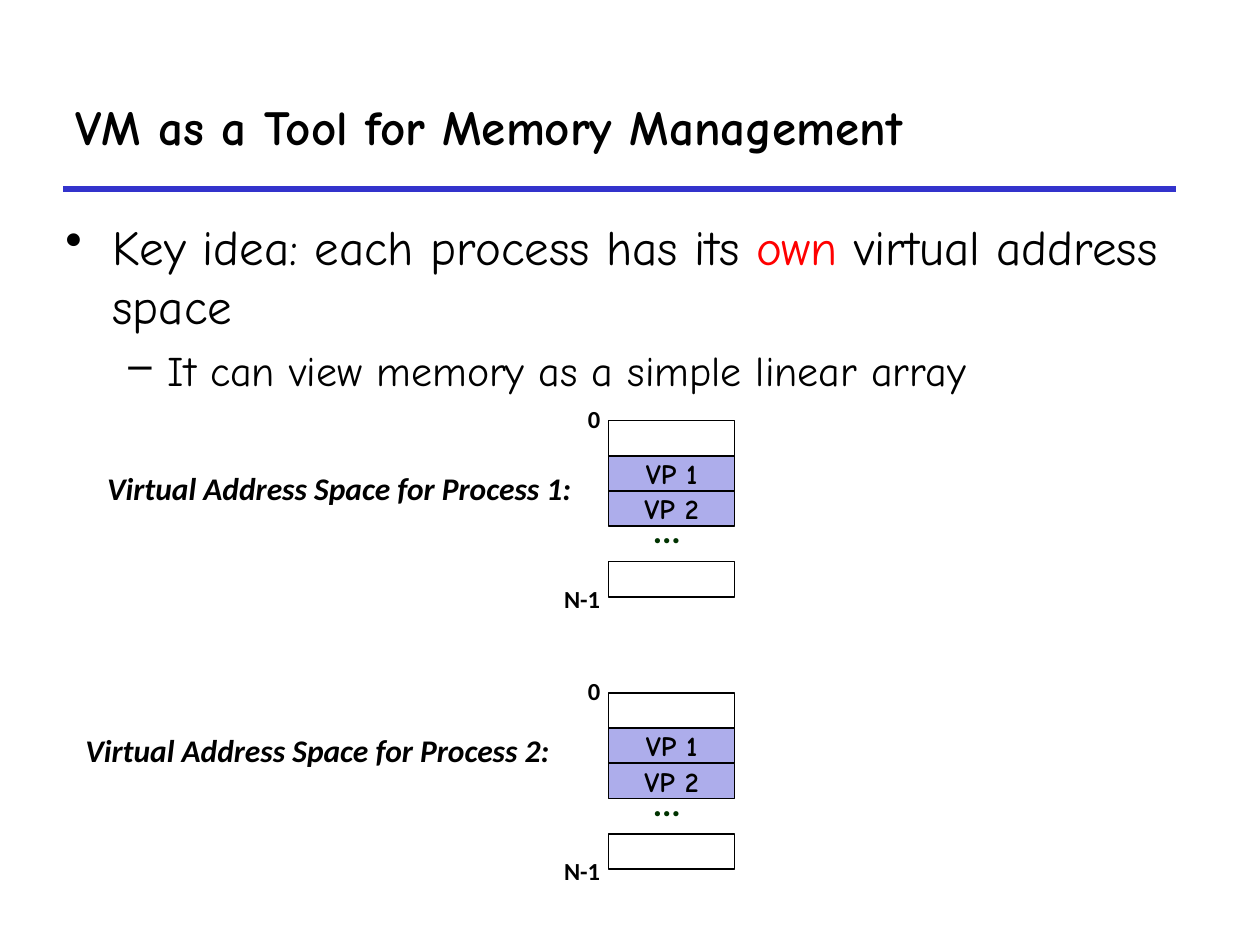
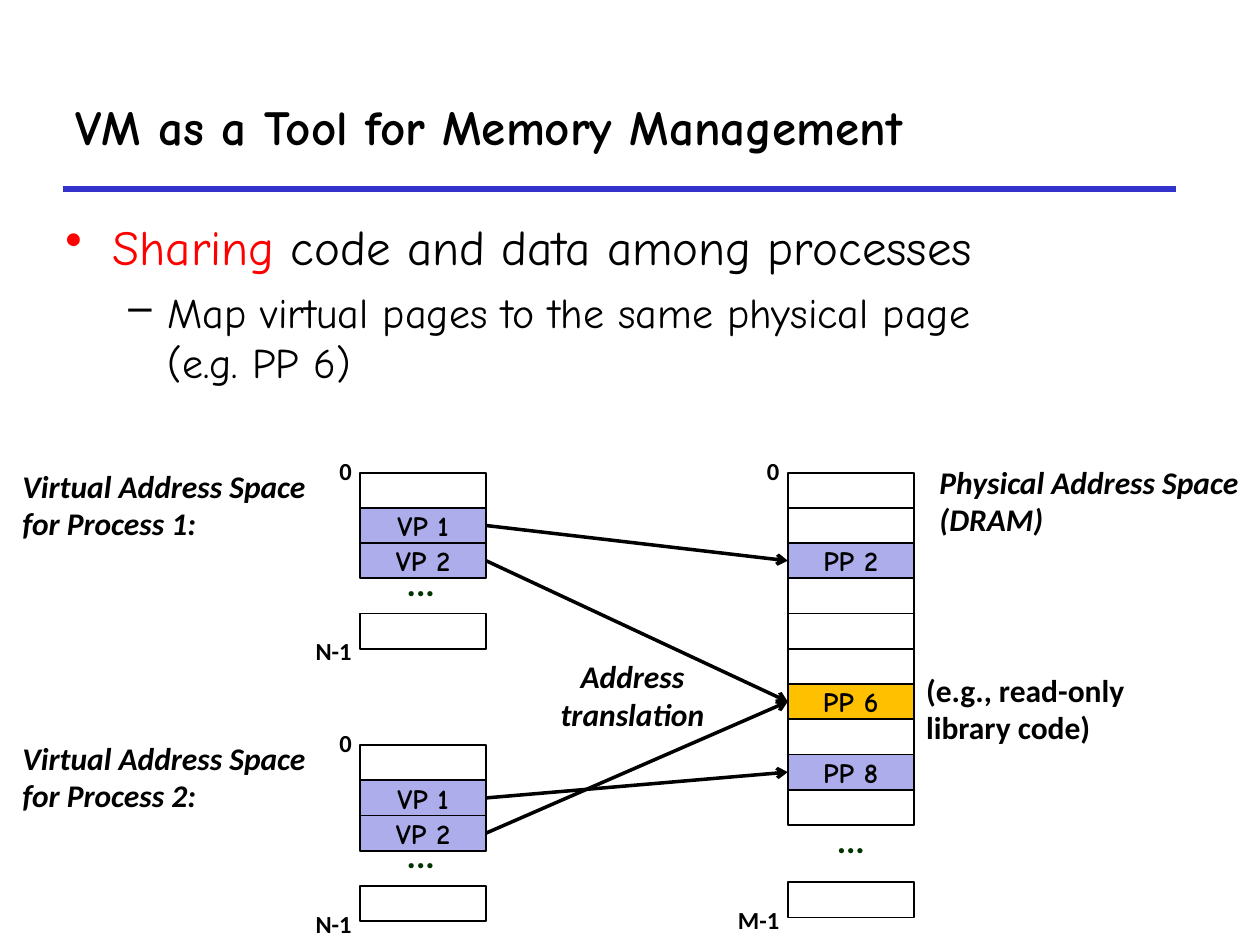
from lxml import etree
from pptx import Presentation
from pptx import util as u
from pptx.dml.color import RGBColor
from pptx.enum import shapes, text
from pptx.oxml import ns

COLORS = {
    "black": "000000",
    "rule": "3333CC",
    "accent": "FF0000",
    "page": "ADADEB",
    "shared": "FFC000",
    "dots": "003300",
}
HAND, SANS = "Comic Neue", "Calibri"
TITLE = "VM as a Tool for Memory Management"

# Memory column geometry, in centimetres
CELL_WIDTH, ROW = 2.54, 0.71
PROCESS_CELLS = ["", "VP 1", "VP 2"]
PROCESS_LAST_ROW = 4
PROCESS_PITCH = 5.49

# Bullet levels: character, size, left margin, hanging indent, space before
LEVELS = [("•", 28, 0.95, 0.95, 7), ("–", 24, 2.06, 0.79, 6)]


def rgb(name):
    return RGBColor.from_string(COLORS[name])


def add_run(paragraph, words, size, font=SANS, color="black", bold=True, italic=False):
    run = paragraph.add_run()
    run.text = words
    run.font.name = font
    run.font.size = u.Pt(size)
    run.font.bold = bold
    run.font.italic = italic
    run.font.color.rgb = rgb(color)


def add_text_frame(slide, left, top, width, height):
    box = slide.shapes.add_textbox(u.Cm(left), u.Cm(top), u.Cm(width), u.Cm(height))
    box.text_frame.word_wrap = True
    return box.text_frame


def add_label(slide, left, top, width, lines, size=18, italic=True,
              align=text.PP_ALIGN.LEFT, spacing=0.98, before=0, color="black"):
    frame = add_text_frame(slide, left, top, width, 0.84 * len(lines))
    for index, line in enumerate(lines):
        paragraph = frame.add_paragraph() if index else frame.paragraphs[0]
        paragraph.alignment = align
        paragraph.line_spacing = spacing
        paragraph.space_before = u.Pt(before)
        add_run(paragraph, line, size, color=color, italic=italic)


def add_line(slide, width, color="black", start=(0, 0), end=(0, 0), arrow=False):
    line = slide.shapes.add_connector(
        shapes.MSO_CONNECTOR.STRAIGHT, *(u.Cm(value) for value in (*start, *end)))
    line.line.color.rgb = rgb(color)
    line.line.width = u.Pt(width)
    if arrow:
        etree.SubElement(line.line._get_or_add_ln(), ns.qn("a:tailEnd"), type="arrow")
    etree.SubElement(line._element.spPr, ns.qn("a:effectLst"))
    return line


def add_titled_slide(presentation):
    slide = presentation.slides.add_slide(presentation.slide_layouts[5])
    title = slide.shapes.title
    title.left, title.top = u.Cm(1.27), u.Cm(1.27)
    title.width, title.height = u.Cm(23.93), u.Cm(2.54)
    frame = title.text_frame
    frame.auto_size = text.MSO_AUTO_SIZE.NONE
    frame.vertical_anchor = text.MSO_ANCHOR.MIDDLE
    frame.paragraphs[0].alignment = text.PP_ALIGN.LEFT
    add_run(frame.paragraphs[0], TITLE, 28, HAND)
    add_line(slide, 3, "rule", (1.27, 3.81), (23.7, 3.81))
    return slide


def add_bullet(paragraph, level, runs):
    """Write (words, color) runs as a bullet; a line feed breaks the line."""
    mark, size, margin, hang, before = LEVELS[level]
    paragraph.level = level
    paragraph.space_before = u.Pt(before)
    properties = paragraph._p.get_or_add_pPr()
    properties.set("marL", str(u.Cm(margin)))
    properties.set("indent", str(-u.Cm(hang)))
    bullet_color = etree.SubElement(properties, ns.qn("a:buClr"))
    etree.SubElement(bullet_color, ns.qn("a:srgbClr"), val=COLORS[runs[0][1]])
    etree.SubElement(properties, ns.qn("a:buChar"), char=mark)
    for words, color in runs:
        for index, line in enumerate(words.split("\n")):
            if index:
                paragraph.add_line_break()
            add_run(paragraph, line, size, HAND, color, bold=False)


def add_cell(slide, left, top, name, fill):
    cell = slide.shapes.add_shape(shapes.MSO_SHAPE.RECTANGLE, u.Cm(left), u.Cm(top),
                                  u.Cm(CELL_WIDTH), u.Cm(ROW))
    cell.shadow.inherit = False
    cell.line.color.rgb = rgb("black")
    cell.line.width = u.Pt(1)
    if not name:
        cell.fill.background()
        return cell
    cell.fill.solid()
    cell.fill.fore_color.rgb = rgb(fill)
    cell.text_frame.vertical_anchor = text.MSO_ANCHOR.MIDDLE
    paragraph = cell.text_frame.paragraphs[0]
    paragraph.alignment = text.PP_ALIGN.CENTER
    add_run(paragraph, name, 16, HAND)
    return cell


def add_address_space(slide, left, top, names, last_row, last_address, dots_left, shared=""):
    """Draw a memory column and return its named cells."""
    cells = {}
    for row, name in [*enumerate(names), (last_row, "")]:
        fill = "shared" if name == shared else "page"
        cells[name] = add_cell(slide, left, top + row * ROW, name, fill)

    # Ellipsis in the middle of the gap before the last cell
    gap_middle = top + (len(names) + last_row) / 2 * ROW
    add_label(slide, left + dots_left, gap_middle - 0.72, 1.2, ["..."], size=20,
              italic=False, spacing=0.88, before=9, color="dots")

    # First and last address
    last_top = top + last_row * ROW
    for address, label_top in (("0", top - 0.43), (last_address, last_top + 0.36)):
        add_label(slide, left - 1.42, label_top, 1.5, [address], size=14,
                  italic=False, align=text.PP_ALIGN.RIGHT)
    return cells


def add_process_spaces(slide, left, top, dots_left):
    return [add_address_space(slide, left, top + index * PROCESS_PITCH, PROCESS_CELLS,
                              PROCESS_LAST_ROW, "N-1", dots_left) for index in range(2)]


def add_mapping(slide, virtual_page, physical_page):
    arrow = add_line(slide, 2, arrow=True)
    arrow.begin_connect(virtual_page, 3)
    arrow.end_connect(physical_page, 1)


def build_own_space(presentation):
    slide = add_titled_slide(presentation)
    body = add_text_frame(slide, 1.07, 4.24, 22.86, 4.45)
    add_bullet(body.paragraphs[0], 0, [("Key idea: each process has its ", "black"),
                                       ("own", "accent"),
                                       (" virtual address space", "black")])
    add_bullet(body.add_paragraph(), 1,
               [("It can view memory as a simple linear array", "black")])

    for number, left, top in ((1, 1.91, 9.37), (2, 1.47, 14.66)):
        add_label(slide, left, top, 10.31, [f"Virtual Address Space for Process {number}:"])
    add_process_spaces(slide, 12.27, 8.48, dots_left=0.64)


def build_sharing(presentation):
    slide = add_titled_slide(presentation)
    body = add_text_frame(slide, 1.07, 4.45, 23.7, 5.28)
    body.paragraphs[0].line_spacing = 0.83
    add_bullet(body.paragraphs[0], 0, [("Sharing", "accent"),
                                       (" code and data among processes", "black")])
    add_bullet(body.add_paragraph(), 1,
               [("Map virtual pages to the same physical page\n(e.g. PP 6)", "black")])

    # Virtual and physical memory
    for index in range(2):
        add_label(slide, 0.2, 9.32 + index * PROCESS_PITCH, 6.35,
                  [f"Virtual Address Space for Process {index + 1}:"])
    first, second = add_process_spaces(slide, 7.26, 9.53, dots_left=0.69)
    physical_names = ["", "", "PP 2", "", "", "", "PP 6", "", "PP 8", ""]
    physical = add_address_space(slide, 15.88, 9.53, physical_names, 11.63, "M-1",
                                 dots_left=0.74, shared="PP 6")
    add_label(slide, 18.69, 9.25, 6.78, ["Physical Address Space (DRAM)"])
    add_label(slide, 18.42, 13.44, 5.28, ["(e.g., read-only", "library code)"], italic=False)

    # Address translation
    for process, virtual_name, physical_name in (
            (first, "VP 1", "PP 2"), (first, "VP 2", "PP 6"),
            (second, "VP 2", "PP 6"), (second, "VP 1", "PP 8")):
        add_mapping(slide, process[virtual_name], physical[physical_name])
    add_label(slide, 11.05, 13.13, 3.4, ["Address", "translation"],
              align=text.PP_ALIGN.CENTER, spacing=1.0)


def main():
    presentation = Presentation()
    presentation.slide_width, presentation.slide_height = u.Cm(25.4), u.Cm(19.05)
    build_own_space(presentation)
    build_sharing(presentation)
    presentation.save("out.pptx")


if __name__ == "__main__":
    main()
